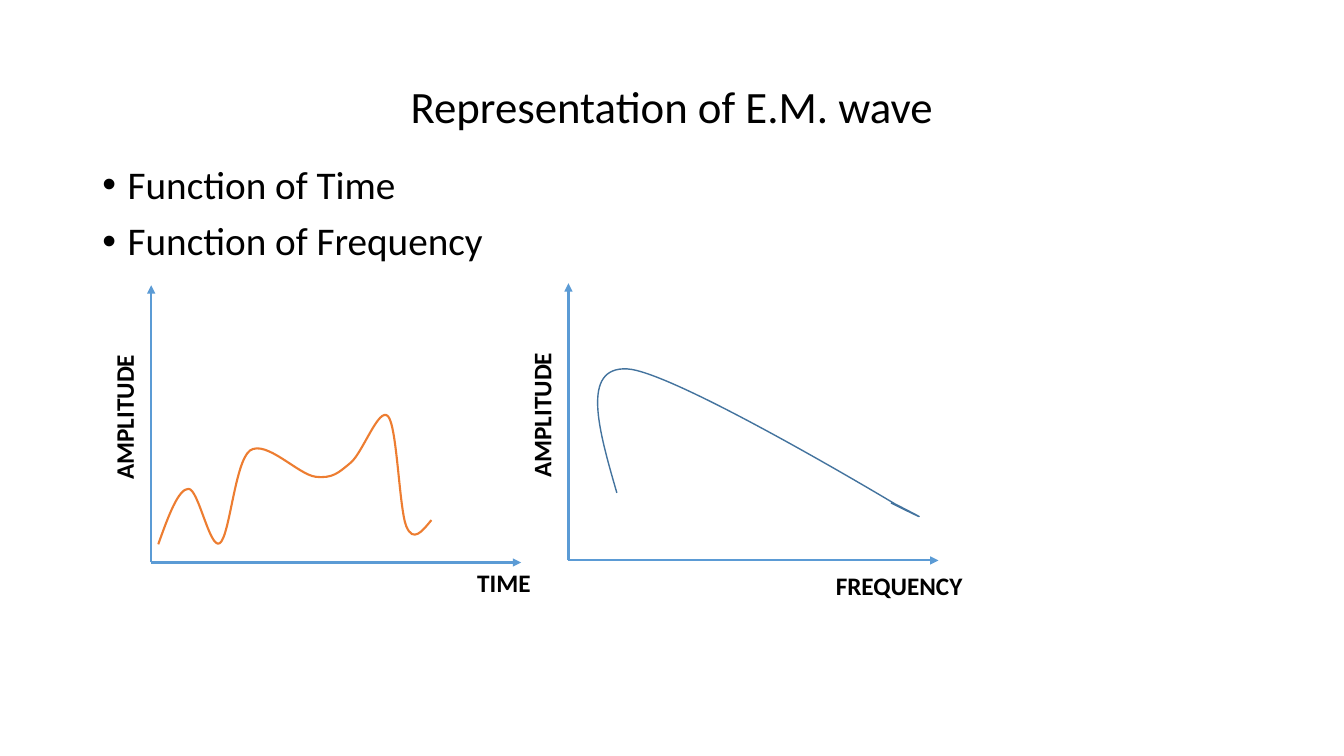
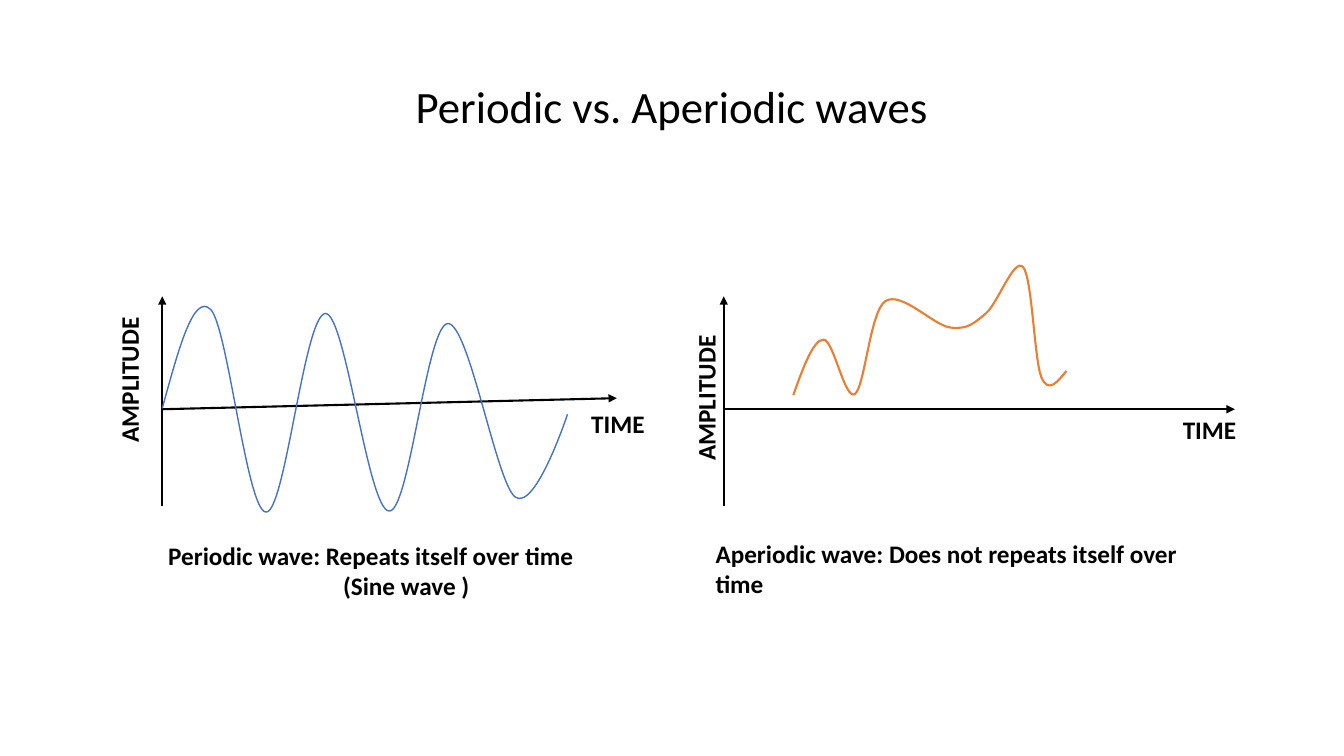
from pptx import Presentation
from pptx import util as u
from pptx.dml.color import RGBColor
from pptx.enum import shapes, text
from pptx.oxml.ns import qn
from lxml import etree

BLACK, AXIS_BLUE, ORANGE = "000000", "5B9BD5", "ED7D31"
STEEL_BLUE, SINE_BLUE = "43739E", "4472C4"
FONT = "Calibri"
CENTER = text.PP_ALIGN.CENTER
MARGIN, CONTENT_WIDTH = 11 / 12, 11.5
LABEL_WIDTH, LABEL_HEIGHT = 3.33, 0.4


def write(para, words, size, bold=False):
    span = para.add_run()
    span.text = words
    span.font.name, span.font.size, span.font.bold = FONT, u.Pt(size), bold
    span.font.color.rgb = RGBColor.from_string(BLACK)


def draw_line(line, colour, width):
    line.color.rgb = RGBColor.from_string(colour)
    line.width = u.Pt(width)


deck = Presentation()
deck.slide_width, deck.slide_height = u.Inches(40 / 3), u.Inches(7.5)

# Slides with the shared title style; layout 1 has a body, layout 5 only a title
pages = []
for title, layout in (("Representation of E.M. wave", 1),
                      ("Periodic vs. Aperiodic waves", 5)):
    page = deck.slides.add_slide(deck.slide_layouts[layout])
    box = page.shapes.title
    box.left, box.top = u.Inches(MARGIN), u.Inches(0.71)
    box.width, box.height = u.Inches(CONTENT_WIDTH), u.Inches(0.75)
    box.text_frame.auto_size = text.MSO_AUTO_SIZE.NONE
    box.text_frame.vertical_anchor = text.MSO_ANCHOR.MIDDLE
    para = box.text_frame.paragraphs[0]
    para.alignment, para.line_spacing = CENTER, 0.9
    write(para, title, 32)
    pages.append(page)
representation, comparison = pages

# Bullet list
body = representation.placeholders[1]
body.left, body.top = u.Inches(MARGIN), u.Inches(1.59)
body.width, body.height = u.Inches(CONTENT_WIDTH), u.Inches(4.76)
frame = body.text_frame
frame.auto_size = text.MSO_AUTO_SIZE.NONE
for number, words in enumerate(("Function of Time", "Function of Frequency")):
    para = frame.add_paragraph() if number else frame.paragraphs[0]
    para.line_spacing, para.space_before = 0.9, u.Pt(10)
    write(para, words, 28)
    props = para._p.get_or_add_pPr()
    props.set("marL", str(u.Inches(0.25)))
    props.set("indent", str(-u.Inches(0.25)))
    etree.SubElement(props, qn("a:buFont")).set("typeface", "Arial")
    etree.SubElement(props, qn("a:buChar")).set("char", "•")

# Curves: a start point, then two control points and an end point per segment
aperiodic = [
    (1.57, 5.4),
    (1.67, 5.12), (1.77, 4.85), (1.87, 4.85),
    (1.97, 4.85), (2.08, 5.45), (2.18, 5.39),
    (2.28, 5.32), (2.33, 4.58), (2.48, 4.47),
    (2.64, 4.36), (2.96, 4.71), (3.13, 4.73),
    (3.3, 4.75), (3.36, 4.69), (3.48, 4.59),
    (3.6, 4.49), (3.76, 4.03), (3.85, 4.13),
    (3.94, 4.23), (3.96, 5.04), (4.03, 5.22),
    (4.1, 5.39), (4.19, 5.27), (4.28, 5.16)]
spectrum = [
    (6.12, 4.89),
    (5.94, 4.27), (5.76, 3.64), (6.22, 3.66),
    (6.68, 3.68), (8.88, 5), (8.88, 5),
    (9.31, 5.22), (9.08, 5.11), (8.84, 4.99)]
sine = [
    (1.61, 4.05),
    (1.77, 3.47), (1.92, 2.9), (2.09, 3.07),
    (2.26, 3.24), (2.45, 5.08), (2.64, 5.08),
    (2.83, 5.09), (3.02, 3.11), (3.23, 3.11),
    (3.43, 3.11), (3.65, 5.06), (3.86, 5.07),
    (4.06, 5.09), (4.23, 3.24), (4.44, 3.21),
    (4.65, 3.19), (4.92, 4.78), (5.11, 4.93),
    (5.31, 5.08), (5.63, 4.11), (5.63, 4.11)]
shifted_aperiodic = [(x + 6.3, y - 1.48) for x, y in aperiodic]

# Graphs: page, axis colour, upright (x, bottom, top), level (y, end x, end y),
# name and centre of the level axis, centre of AMPLITUDE, curve, its colour and width
graphs = [
    (representation, AXIS_BLUE, (1.5, 5.58, 2.83), (5.58, 5.17, 5.58),
     "TIME", (5, 5.78), (1.23, 4.14), aperiodic, ORANGE, 1.5),
    (representation, AXIS_BLUE, (5.64, 5.56, 2.81), (5.56, 9.31, 5.56),
     "FREQUENCY", (8.92, 5.81), (5.37, 4.12), spectrum, STEEL_BLUE, 1),
    (comparison, BLACK, (1.61, 5.02, 2.94), (4.06, 6.12, 3.95),
     "TIME", (6.13, 4.2), (1.28, 3.77), sine, SINE_BLUE, 1),
    (comparison, BLACK, (7.18, 5.02, 2.94), (4.06, 12.25, 4.06),
     "TIME", (12, 4.26), (7, 3.95), shifted_aperiodic, ORANGE, 1.5),
]
for (page, axis_colour, (x, bottom, top), (level, end_x, end_y), name,
     name_centre, amplitude_centre, curve, curve_colour, curve_width) in graphs:
    graph = page.shapes.add_group_shape()

    # Axes with arrowheads
    for ends in ((x, bottom, x, top), (x, level, end_x, end_y)):
        axis = graph.shapes.add_connector(shapes.MSO_CONNECTOR.STRAIGHT,
                                          *[u.Inches(end) for end in ends])
        draw_line(axis.line, axis_colour, 1.5)
        props = axis._element.spPr
        etree.SubElement(props.find(qn("a:ln")), qn("a:tailEnd")).set("type", "triangle")
        etree.SubElement(props, qn("a:effectLst"))

    # Axis names
    for words, (centre_x, centre_y), turn in ((name, name_centre, 0),
                                              ("AMPLITUDE", amplitude_centre, 270)):
        box = graph.shapes.add_textbox(
            u.Inches(centre_x - LABEL_WIDTH / 2), u.Inches(centre_y - LABEL_HEIGHT / 2),
            u.Inches(LABEL_WIDTH), u.Inches(LABEL_HEIGHT))
        box.rotation = turn
        box.text_frame.word_wrap = True
        para = box.text_frame.paragraphs[0]
        para.alignment = CENTER
        write(para, words, 18, True)

    # Wave: an outline through the end points, its segments then bent into cubics
    points = [(u.Inches(px), u.Inches(py)) for px, py in curve]
    builder = graph.shapes.build_freeform(*points[0])
    builder.add_line_segments(points[3::3], close=False)
    wave = builder.convert_to_shape()
    wave.shadow.inherit = False
    wave.fill.background()
    draw_line(wave.line, curve_colour, curve_width)
    segments = list(wave._element.iter(qn("a:lnTo")))
    for segment, *controls in zip(segments, points[1::3], points[2::3]):
        segment.tag = qn("a:cubicBezTo")
        for place, (px, py) in enumerate(controls):
            control = etree.Element(qn("a:pt"))
            control.set("x", str(px - wave.left))
            control.set("y", str(py - wave.top))
            segment.insert(place, control)

# Captions under the two waves
captions = [
    (1.57, 5.31, 4.92, [("Periodic wave: Repeats itself over time", None),
                        ("(Sine wave )", CENTER)]),
    (7, 5.29, 5.18, [("Aperiodic wave: Does not repeats itself over time", None)]),
]
for left, top, width, lines in captions:
    box = comparison.shapes.add_textbox(u.Inches(left), u.Inches(top),
                                        u.Inches(width), u.Inches(0.71))
    frame = box.text_frame
    frame.word_wrap = True
    for number, (words, alignment) in enumerate(lines):
        para = frame.add_paragraph() if number else frame.paragraphs[0]
        para.alignment = alignment
        write(para, words, 18, True)

deck.save("out.pptx")
